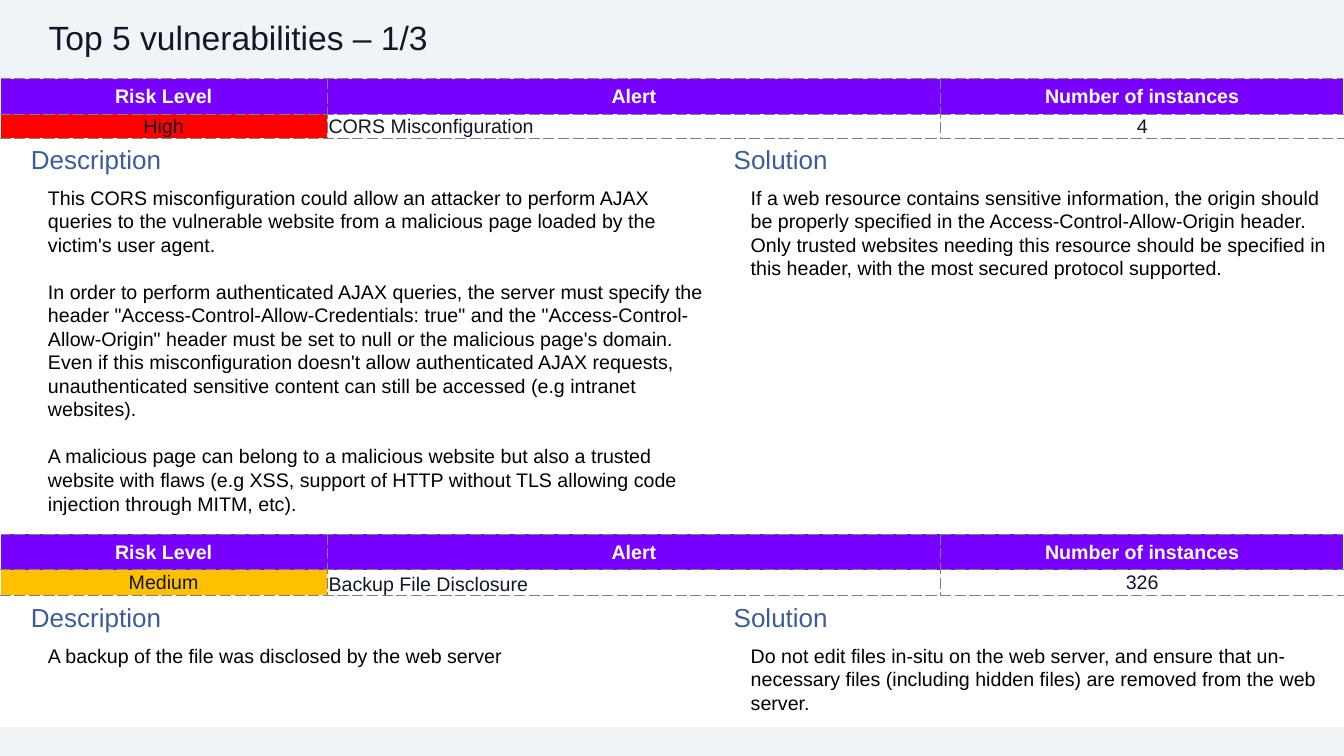
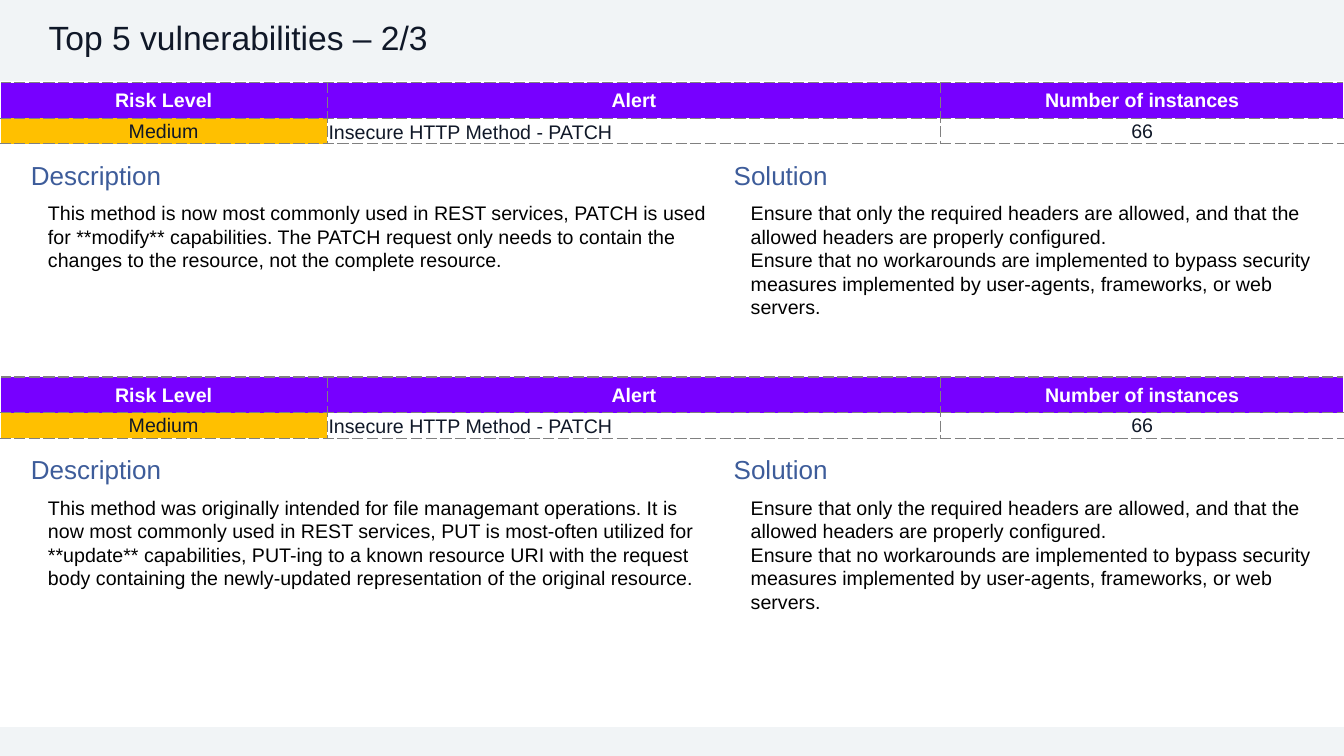
from lxml import etree
from pptx import Presentation
from pptx.dml.color import RGBColor
from pptx.enum import shapes, text
from pptx.oxml.ns import qn
from pptx.util import Cm, Pt

HUES = {"band": "F1F4F6", "ink": "101828", "body": "000000", "head": "3D5C9A",
        "bar": "7700FF", "white": "FFFFFF", "rule": "808080",
        "High": "FF0000", "Medium": "FFC000"}
WIDE, TALL = 33.87, 19.05
COLS = (8.25, 15.45, 10.17)
HEADS = ("Risk Level", "Alert", "Number of instances")
LEFT, RIGHT = (0.53, 17.3), (18.24, 15.19)
ALIGN, ANCHOR = text.PP_ALIGN, text.MSO_ANCHOR


def hue(name):
    """Look up a colour by name."""
    return RGBColor.from_string(HUES[name])


def style(frame, size, tint, bold=False):
    """Format every run of a text frame."""
    for para in frame.paragraphs:
        for run in para.runs:
            font = run.font
            font.name, font.size, font.bold = "Arial", Pt(size), bold
            font.color.rgb = hue(tint)


def bands(slide, layout):
    """Put the top and bottom bands on the layout, behind its title."""
    tree = layout.shapes.element
    for num, (top, high) in enumerate(((0, 2.03), (18.34, 0.71))):
        band = slide.shapes.add_shape(shapes.MSO_SHAPE.RECTANGLE,
                                      0, Cm(top), Cm(WIDE), Cm(high))
        band.shadow.inherit = False
        band.fill.solid()
        band.fill.fore_color.rgb = hue("band")
        band.line.color.rgb = hue("band")
        band.line.width = Pt(1)
        band.element.xpath(".//p:cNvPr")[0].set("id", str(100 + num))
        tree.insert(2, band.element)


def title(slide, words):
    """Place and format the slide title."""
    shape = slide.shapes.title
    shape.left, shape.top = Cm(0.97), Cm(0.41)
    shape.width, shape.height = Cm(31.88), Cm(1.17)
    frame = shape.text_frame
    frame.text = words
    frame.auto_size = text.MSO_AUTO_SIZE.NONE
    frame.vertical_anchor = ANCHOR.MIDDLE
    para = frame.paragraphs[0]
    para.alignment, para.line_spacing = ALIGN.LEFT, 0.9
    style(frame, 24, "ink")


def label(slide, box, paras, size, tint, gap=0):
    """Add wrapped text in a box, with a gap between paragraphs."""
    frame = slide.shapes.add_textbox(*map(Cm, box)).text_frame
    frame.word_wrap = True
    frame.text = "\n".join(paras)
    for para in frame.paragraphs[1:]:
        para.space_before = Pt(gap)
    style(frame, size, tint)


def edge(cell, sides):
    """Draw dashed rules on the given sides of a cell."""
    props = cell._tc.get_or_add_tcPr()
    for side in sides:
        line = etree.SubElement(props, qn("a:ln" + side), w=str(Pt(1)))
        fill = etree.SubElement(line, qn("a:solidFill"))
        etree.SubElement(fill, qn("a:srgbClr"), val=HUES["rule"])
        etree.SubElement(line, qn("a:prstDash"), val="dash")


def grid(slide, top, low, row):
    """Add the alert table: a header and one row of height low."""
    frame = slide.shapes.add_table(2, 3, 0, Cm(top), Cm(WIDE), Cm(0.9 + low))
    table = frame.table
    table.first_row = table.horz_banding = False
    for col, wide in zip(table.columns, COLS):
        col.width = Cm(wide)
    for line, high in zip(table.rows, (0.9, low)):
        line.height = Cm(high)
    for r, words in enumerate((HEADS, row)):
        for c, word in enumerate(words):
            cell = table.cell(r, c)
            cell.text = word
            cell.margin_left = cell.margin_right = cell.margin_top = Cm(0.03)
            cell.margin_bottom = 0
            name = r == 1 and c == 1
            cell.vertical_anchor = ANCHOR.BOTTOM if name else ANCHOR.MIDDLE
            para = cell.text_frame.paragraphs[0]
            para.alignment = ALIGN.LEFT if name else ALIGN.CENTER
            style(cell.text_frame, 14, "ink" if r else "white", r == 0)
            edge(cell, ("RTB", "LRTB", "LTB")[c])
            if r and c:
                cell.fill.background()
            else:
                cell.fill.solid()
                cell.fill.fore_color.rgb = hue(word if r else "bar")


def column(slide, side, top, head, lines, paras):
    """Add a heading and, below it, body text that fills some lines."""
    left, wide = side
    label(slide, (left, top, 9.78, 1.05), [head], 18.6, "head")
    box = (left + 0.43, top + 1.05, wide, 0.25 + 0.6 * lines)
    label(slide, box, paras, 14, "body", 16.8 if len(paras) > 2 else 0)


def alert(slide, top, gap, low, row, about, fix):
    """Add one finding: its table, description and solution."""
    grid(slide, top, low, row)
    start = top + 0.9 + low + gap
    column(slide, LEFT, start, "Description", *about)
    column(slide, RIGHT, start, "Solution", *fix)


PATCH = ("Medium", "Insecure HTTP Method - PATCH", "66")
ALLOW = (5, [
    "Ensure that only the required headers are allowed, and that the allowed "
    "headers are properly configured.",
    "Ensure that no workarounds are implemented to bypass security measures "
    "implemented by user-agents, frameworks, or web servers."])
PAGES = [
    ("Top 5 vulnerabilities – 1/3", [
        (1.98, 0.02, 0.6, ("High", "CORS Misconfiguration", "4"),
         (14, ["This CORS misconfiguration could allow an attacker to perform "
               "AJAX queries to the vulnerable website from a malicious page "
               "loaded by the victim's user agent.",
               "In order to perform authenticated AJAX queries, the server "
               "must specify the header \"Access-Control-Allow-Credentials: "
               "true\" and the \"Access-Control-Allow-Origin\" header must be "
               "set to null or the malicious page's domain. Even if this "
               "misconfiguration doesn't allow authenticated AJAX requests, "
               "unauthenticated sensitive content can still be accessed (e.g "
               "intranet websites).",
               "A malicious page can belong to a malicious website but also a "
               "trusted website with flaws (e.g XSS, support of HTTP without "
               "TLS allowing code injection through MITM, etc)."]),
         (4, ["If a web resource contains sensitive information, the origin "
              "should be properly specified in the "
              "Access-Control-Allow-Origin header. Only trusted websites "
              "needing this resource should be specified in this header, with "
              "the most secured protocol supported."])),
        (13.46, 0.04, 0.64, ("Medium", "Backup File Disclosure", "326"),
         (1, ["A backup of the file was disclosed by the web server"]),
         (3, ["Do not edit files in-situ on the web server, and ensure that "
              "un-necessary files (including hidden files) are removed from "
              "the web server."]))]),
    ("Top 5 vulnerabilities – 2/3", [
        (2.08, 0.27, 0.64, PATCH,
         (3, ["This method is now most commonly used in REST services, PATCH "
              "is used for **modify** capabilities. The PATCH request only "
              "needs to contain the changes to the resource, not the complete "
              "resource."]), ALLOW),
        (9.5, 0.27, 0.64, PATCH,
         (4, ["This method was originally intended for file managemant "
              "operations. It is now most commonly used in REST services, PUT "
              "is most-often utilized for **update** capabilities, PUT-ing to "
              "a known resource URI with the request body containing the "
              "newly-updated representation of the original resource."]),
         ALLOW)]),
]


def main():
    """Build the deck and save it."""
    deck = Presentation()
    deck.slide_width, deck.slide_height = Cm(WIDE), Cm(TALL)
    layout = deck.slide_layouts[5]
    for num, (words, finds) in enumerate(PAGES):
        slide = deck.slides.add_slide(layout)
        if num == 0:
            bands(slide, layout)
        title(slide, words)
        for find in finds:
            alert(slide, *find)
    deck.save("out.pptx")


main()
